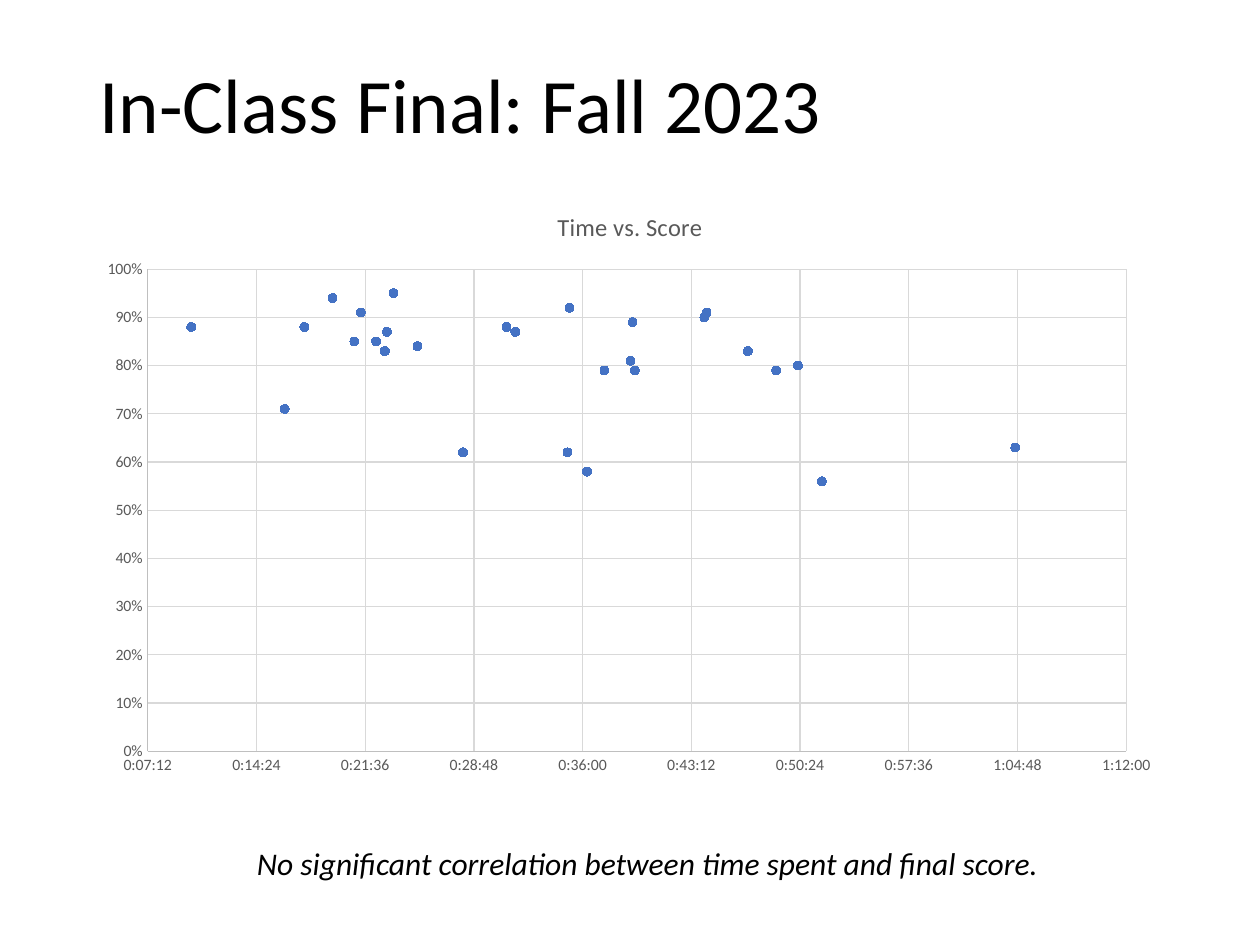
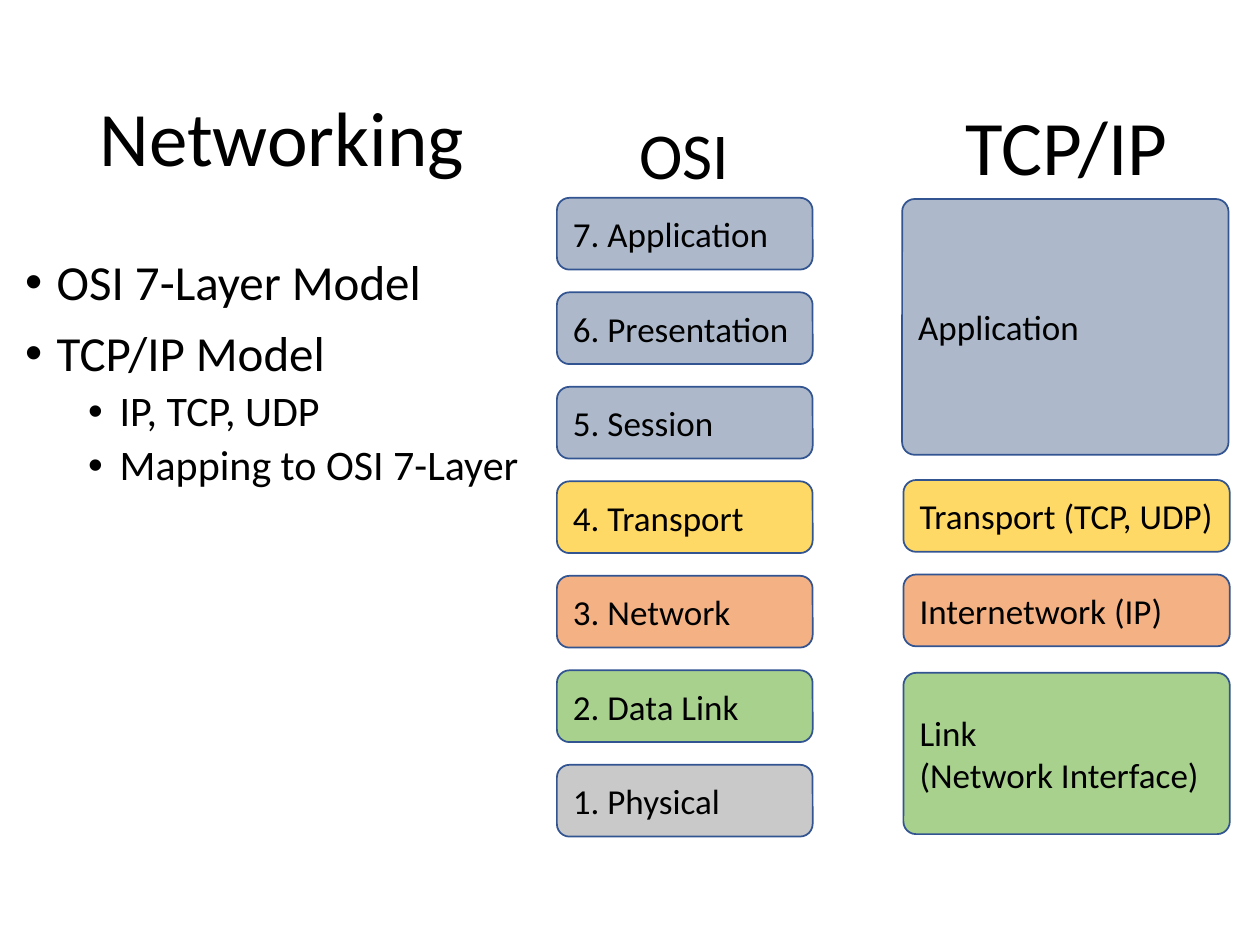
import pptx
import pptx.chart.data
import pptx.dml.color
import pptx.enum.chart
import pptx.enum.shapes
import pptx.enum.text
import pptx.oxml
import pptx.oxml.ns
import pptx.util
from dataclasses import dataclass

Inches = pptx.util.Inches
Pt = pptx.util.Pt
Align = pptx.enum.text.PP_ALIGN
Anchor = pptx.enum.text.MSO_ANCHOR


@dataclass(frozen=True)
class Theme:
    font: str = "Calibri"
    ink: str = "000000"
    muted: str = "595959"
    axis: str = "BFBFBF"
    grid: str = "D9D9D9"
    dot: str = "4472C4"
    outline: str = "325491"
    application: str = "ADB9CA"
    transport: str = "FFD966"
    network: str = "F4B183"
    link: str = "A9D18E"
    physical: str = "C9C9C9"
    title_size: float = 44
    osi_size: float = 37.4
    layer_size: float = 20
    caption_size: float = 18
    chart_title_size: float = 14
    tick_size: float = 9


THEME = Theme()

FINAL_TITLE = "In-Class Final: Fall 2023"
CHART_TITLE = "Time vs. Score"
CAPTION = "No significant correlation between time spent and final score."
DAY_FRACTIONS_AND_SCORES = [
    (0.0122, 0.88), (0.0174, 0.84), (0.0145, 0.85), (0.0243, 0.62),
    (0.0244, 0.92), (0.0160, 0.87), (0.0159, 0.83), (0.0307, 0.91),
    (0.0326, 0.83), (0.0273, 0.89), (0.0215, 0.88), (0.0260, 0.79),
    (0.0252, 0.58), (0.0113, 0.71), (0.0195, 0.62), (0.0449, 0.63),
    (0.0306, 0.90), (0.0360, 0.56), (0.0349, 0.80), (0.0155, 0.85),
    (0.0135, 0.94), (0.0219, 0.87), (0.0148, 0.91), (0.0163, 0.95),
    (0.0070, 0.88), (0.0339, 0.79), (0.0272, 0.81), (0.0274, 0.79),
]
PLOT_AREA = {"x": 0.056, "y": 0.138, "w": 0.901, "h": 0.804}

NETWORKING_TITLE = "Networking"
TOPICS = [
    (0, "OSI 7-Layer Model"),
    (0, "TCP/IP Model"),
    (1, "IP, TCP, UDP"),
    (1, "Mapping to OSI 7-Layer"),
]
TOPIC_LEVELS = [
    {"size": 28, "indent": 0.25, "before": 10},
    {"size": 24, "indent": 0.75, "before": 5},
]
OSI_LAYERS = [
    ("7. Application", THEME.application),
    ("6. Presentation", THEME.application),
    ("5. Session", THEME.application),
    ("4. Transport", THEME.transport),
    ("3. Network", THEME.network),
    ("2. Data Link", THEME.link),
    ("1. Physical", THEME.physical),
]
TCP_IP_LAYERS = [
    ("Application", THEME.application, 7.16, 1.58, 2.03),
    ("Transport (TCP, UDP)", THEME.transport, 7.17, 3.81, 0.57),
    ("Internetwork (IP)", THEME.network, 7.17, 4.56, 0.57),
    ("Link\n(Network Interface)", THEME.link, 7.17, 5.34, 1.28),
]
OSI_LEFT, OSI_TOP, OSI_WIDTH, OSI_PITCH = 4.42, 1.57, 2.03, 0.75
LAYER_HEIGHT, TCP_IP_WIDTH, CORNER = 0.57, 2.59, 0.1


def rgb(value):
    return pptx.dml.color.RGBColor.from_string(value)


def assign(target, formats):
    for name, value in formats.items():
        setattr(target, name, value)


def style_font(font, size, color=THEME.ink, **formats):
    assign(font, {"name": THEME.font, "size": Pt(size), "bold": False, **formats})
    font.color.rgb = rgb(color)


def place(shape, left, top, width, height):
    assign(shape, {"left": Inches(left), "top": Inches(top),
                   "width": Inches(width), "height": Inches(height)})


def write(shape, text, size, align=Align.LEFT, anchor=Anchor.MIDDLE, spacing=1.0, **formats):
    frame = shape.text_frame
    frame.text = text
    assign(frame, {"word_wrap": True, "vertical_anchor": anchor,
                   "auto_size": pptx.enum.text.MSO_AUTO_SIZE.NONE})
    for paragraph in frame.paragraphs:
        assign(paragraph, {"alignment": align, "line_spacing": spacing})
        style_font(paragraph.font, size, **formats)


def write_title(slide, text, height):
    title = slide.shapes.title
    place(title, 0.69, 0.4, 8.62, height)
    write(title, text, THEME.title_size, spacing=0.9)


def add_label(slide, text, box, size, **formats):
    label = slide.shapes.add_textbox(*map(Inches, box))
    write(label, text, size, **formats)


def add_layer(slide, text, fill, left, top, width, height):
    layer = slide.shapes.add_shape(
        pptx.enum.shapes.MSO_SHAPE.ROUNDED_RECTANGLE,
        *map(Inches, (left, top, width, height)))
    layer.adjustments[0] = CORNER / min(width, height)
    layer.shadow.inherit = False
    layer.fill.solid()
    layer.fill.fore_color.rgb = rgb(fill)
    layer.line.color.rgb = rgb(THEME.outline)
    layer.line.width = Pt(1)
    write(layer, text, THEME.layer_size)


def style_line(line, color):
    line.color.rgb = rgb(color)
    line.width = Pt(0.75)


def style_axis(axis, low, high, step, number_format):
    tick = pptx.enum.chart.XL_TICK_MARK.NONE
    assign(axis, {"minimum_scale": low, "maximum_scale": high, "major_unit": step,
                  "has_major_gridlines": True, "has_title": False,
                  "major_tick_mark": tick, "minor_tick_mark": tick})
    assign(axis.tick_labels, {"number_format": number_format,
                              "number_format_is_linked": False})
    style_font(axis.tick_labels.font, THEME.tick_size, THEME.muted)
    style_line(axis.format.line, THEME.axis)
    style_line(axis.major_gridlines.format.line, THEME.grid)


def fix_plot_area(chart):
    plot_area = chart.plots[0]._element.getparent()
    for old in plot_area.findall(pptx.oxml.ns.qn("c:layout")):
        plot_area.remove(old)
    sizes = "".join(f'<c:{key} val="{value}"/>' for key, value in PLOT_AREA.items())
    plot_area.insert(0, pptx.oxml.parse_xml(
        f'<c:layout {pptx.oxml.ns.nsdecls("c")}><c:manualLayout>'
        '<c:layoutTarget val="inner"/><c:xMode val="edge"/><c:yMode val="edge"/>'
        f'{sizes}</c:manualLayout></c:layout>'))


def add_score_chart(slide):
    data = pptx.chart.data.XyChartData()
    scores = data.add_series("Series 1")
    for time, score in DAY_FRACTIONS_AND_SCORES:
        scores.add_data_point(time, score)
    chart = slide.shapes.add_chart(
        pptx.enum.chart.XL_CHART_TYPE.XY_SCATTER,
        *map(Inches, (0.69, 1.48, 8.62, 4.76)), data).chart
    assign(chart, {"has_legend": False, "has_title": True})
    style_font(chart.font, 10)
    heading = chart.chart_title.text_frame
    heading.text = CHART_TITLE
    style_font(heading.paragraphs[0].runs[0].font, THEME.chart_title_size, THEME.muted)
    style_axis(chart.category_axis, 0.005, 0.05, 0.005, "h:mm:ss")
    style_axis(chart.value_axis, 0, 1, 0.1, "0%")
    fix_plot_area(chart)
    chart.plots[0].vary_by_categories = False
    series = chart.plots[0].series[0]
    series.format.line.fill.background()
    assign(series.marker, {"style": pptx.enum.chart.XL_MARKER_STYLE.CIRCLE, "size": 5})
    series.marker.format.fill.solid()
    series.marker.format.fill.fore_color.rgb = rgb(THEME.dot)
    style_line(series.marker.format.line, THEME.dot)


def write_topics(body):
    place(body, 0.1, 2, 4.31, 4.76)
    frame = body.text_frame
    frame.text = "\n".join(text for _, text in TOPICS)
    assign(frame, {"word_wrap": True, "vertical_anchor": Anchor.TOP,
                   "auto_size": pptx.enum.text.MSO_AUTO_SIZE.NONE})
    for index, (paragraph, (level, _)) in enumerate(zip(frame.paragraphs, TOPICS)):
        look = TOPIC_LEVELS[level]
        assign(paragraph, {"level": level, "line_spacing": 0.9,
                           "space_before": Pt(look["before"] if index else 0)})
        properties = paragraph._p.get_or_add_pPr()
        properties.set("marL", str(Inches(look["indent"])))
        properties.set("indent", str(Inches(-0.25)))
        for bullet in ('<a:buFont {} typeface="Arial"/>', '<a:buChar {} char="•"/>'):
            properties.append(pptx.oxml.parse_xml(bullet.format(pptx.oxml.ns.nsdecls("a"))))
        style_font(paragraph.font, look["size"])


def build_final_slide(deck):
    slide = deck.slides.add_slide(deck.slide_layouts[5])
    write_title(slide, FINAL_TITLE, 0.93)
    add_label(slide, CAPTION, (1.94, 6.65, 6.75, 0.4), THEME.caption_size,
              anchor=Anchor.TOP, italic=True)
    add_score_chart(slide)


def build_networking_slide(deck):
    slide = deck.slides.add_slide(deck.slide_layouts[1])
    write_title(slide, NETWORKING_TITLE, 1.45)
    write_topics(slide.placeholders[1])
    add_label(slide, "OSI", (4.56, 1.01, 1.74, 0.57), THEME.osi_size,
              align=Align.CENTER, spacing=0.7)
    add_label(slide, "TCP/IP", (7.17, 0.73, TCP_IP_WIDTH, 0.84), THEME.title_size,
              align=Align.CENTER)
    for row, (text, fill) in enumerate(OSI_LAYERS):
        add_layer(slide, text, fill, OSI_LEFT, OSI_TOP + row * OSI_PITCH,
                  OSI_WIDTH, LAYER_HEIGHT)
    for text, fill, left, top, height in TCP_IP_LAYERS:
        add_layer(slide, text, fill, left, top, TCP_IP_WIDTH, height)


def main():
    deck = pptx.Presentation()
    assign(deck, {"slide_width": Inches(10), "slide_height": Inches(7.5)})
    build_final_slide(deck)
    build_networking_slide(deck)
    deck.save("out.pptx")


if __name__ == "__main__":
    main()
